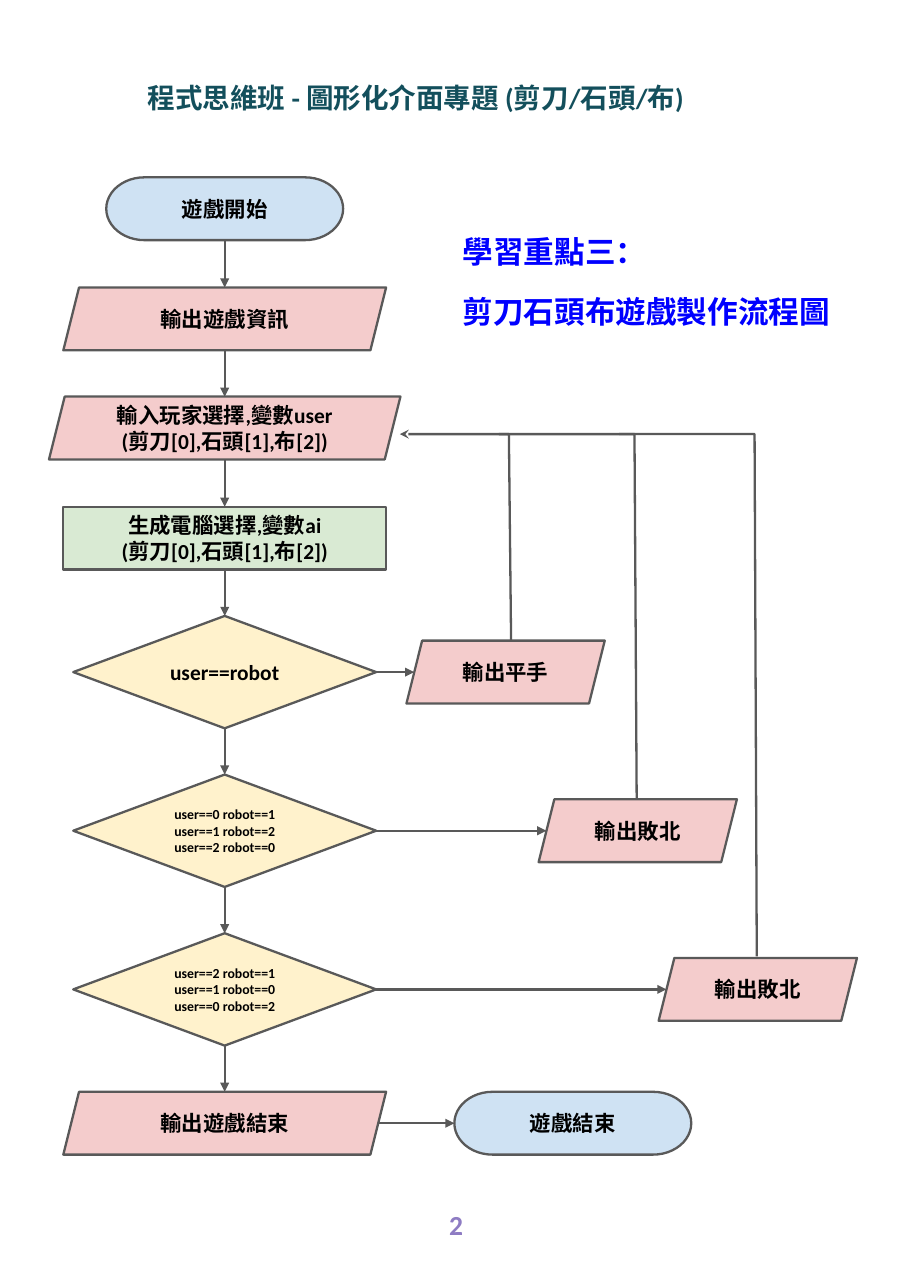
"""Build the flowchart slide for the rock-paper-scissors game."""
from dataclasses import dataclass
from itertools import pairwise

from lxml.etree import SubElement
from pptx import Presentation
from pptx.dml.color import RGBColor
from pptx.enum.shapes import MSO_CONNECTOR as Connector, MSO_SHAPE as Shape
from pptx.enum.text import MSO_ANCHOR as Anchor, MSO_AUTO_SIZE as AutoSize, PP_ALIGN as Align
from pptx.oxml.ns import qn
from pptx.util import Inches, Pt


@dataclass(frozen=True)
class Theme:
    title: str = "134F5C"
    focus: str = "0000FF"
    number: str = "8E7CC3"
    ink: str = "000000"
    line: str = "595959"
    terminal: str = "CFE2F3"
    data: str = "F4CCCC"
    process: str = "D9EAD3"
    decision: str = "FFF2CC"
    font: str = "Calibri"
    output_font: str = "Open Sans"
    title_size: int = 18
    focus_size: int = 20
    step_size: int = 14
    rule_size: int = 9
    line_width: float = 1.5


THEME = Theme()


@dataclass(frozen=True)
class Style:
    kind: Shape
    fill: str
    height: float


@dataclass(frozen=True)
class Step:
    style: Style
    center: float
    top: float
    width: float
    lines: tuple[str, ...]
    size: int = THEME.step_size
    font: str = THEME.font

    @property
    def middle(self) -> float:
        return self.top + self.style.height / 2

    @property
    def bottom(self) -> float:
        return self.top + self.style.height


@dataclass(frozen=True)
class Branch:
    decision: int
    center: float
    text: str
    rise_x: float
    rise_y: float
    return_x: float
    head: str = ""


@dataclass(frozen=True)
class Caption:
    lines: tuple[str, ...]
    size: int
    color: str
    font: str = THEME.font
    align: Align = Align.LEFT
    anchor: Anchor = Anchor.TOP


TERMINAL = Style(Shape.FLOWCHART_TERMINATOR, THEME.terminal, 0.57)
DATA = Style(Shape.PARALLELOGRAM, THEME.data, 0.57)
PROCESS = Style(Shape.RECTANGLE, THEME.process, 0.57)
DECISION = Style(Shape.DIAMOND, THEME.decision, 1.02)

COLUMN = 2.04
RETURN_Y = 3.94
RISE_SLANT = 0.02
PARALLELOGRAM_INSET = 0.07
TOP, LEFT, BOTTOM, RIGHT = range(4)
CHOICES = "(剪刀[0],石頭[1],布[2])"

STEPS = (
    Step(TERMINAL, COLUMN, 1.61, 2.15, ("遊戲開始",)),
    Step(DATA, COLUMN, 2.61, 2.93, ("輸出遊戲資訊",)),
    Step(DATA, COLUMN, 3.6, 3.19, ("輸入玩家選擇,變數user", CHOICES)),
    Step(PROCESS, COLUMN, 4.6, 2.93, ("生成電腦選擇,變數ai", CHOICES)),
    Step(DECISION, COLUMN, 5.59, 2.75, ("user==robot",)),
    Step(DECISION, COLUMN, 7.03, 2.75,
         ("user==0 robot==1", "user==1 robot==2", "user==2 robot==0"), THEME.rule_size),
    Step(DECISION, COLUMN, 8.47, 2.75,
         ("user==2 robot==1", "user==1 robot==0", "user==0 robot==2"), THEME.rule_size),
    Step(DATA, COLUMN, 9.91, 2.93, ("輸出遊戲結束",)),
)
FINISH = Step(TERMINAL, 5.2, 9.91, 2.15, ("遊戲結束",), font=THEME.output_font)
BRANCHES = (
    Branch(4, 4.59, "輸出平手", 4.64, 5.82, 3.63, "stealth"),
    Branch(5, 5.79, "輸出敗北", 5.78, 7.26, 4.53),
    Branch(6, 6.88, "輸出敗北", 6.87, 8.68, 5.62),
)


def write_text(shape, caption: Caption, paragraph_format: dict | None = None) -> None:
    """Fill a shape with formatted paragraphs."""
    frame = shape.text_frame
    frame_format = {"word_wrap": True, "auto_size": AutoSize.NONE,
                    "vertical_anchor": caption.anchor}
    frame_format |= {f"margin_{side}": Inches(0.1) for side in ("left", "top", "right", "bottom")}
    for name, value in frame_format.items():
        setattr(frame, name, value)
    for index, line in enumerate(caption.lines):
        paragraph = frame.add_paragraph() if index else frame.paragraphs[0]
        for name, value in ({"alignment": caption.align} | (paragraph_format or {})).items():
            setattr(paragraph, name, value)
        run = paragraph.add_run()
        run.text = line
        for name, value in {"size": Pt(caption.size), "bold": True, "name": caption.font}.items():
            setattr(run.font, name, value)
        run.font.color.rgb = RGBColor.from_string(caption.color)
        SubElement(run.font._element, qn("a:ea"), typeface=caption.font)


def draw_line_format(shape, head: str = "") -> None:
    """Apply the common outline and an optional arrowhead."""
    shape.line.color.rgb = RGBColor.from_string(THEME.line)
    shape.line.width = Pt(THEME.line_width)
    if head:
        SubElement(shape.line._get_or_add_ln(), qn("a:tailEnd"), type=head)


def draw_step(slide, step: Step):
    """Draw one flowchart step."""
    shape = slide.shapes.add_shape(
        step.style.kind, Inches(step.center - step.width / 2), Inches(step.top),
        Inches(step.width), Inches(step.style.height))
    shape.shadow.inherit = False
    shape.fill.solid()
    shape.fill.fore_color.rgb = RGBColor.from_string(step.style.fill)
    draw_line_format(shape)
    write_text(shape, Caption(step.lines, step.size, THEME.ink, step.font,
                              Align.CENTER, Anchor.MIDDLE))
    return shape


def draw_arrow(slide, start: tuple, end: tuple, source, target, sides: tuple[int, int]) -> None:
    """Draw an arrow and join it to shapes with matching side sites."""
    connector = slide.shapes.add_connector(
        Connector.STRAIGHT, *(Inches(value) for value in (*start, *end)))
    draw_line_format(connector, "triangle")
    SubElement(connector._element.spPr, qn("a:effectLst"))
    joins = zip((connector.begin_connect, connector.end_connect), (source, target), sides)
    for join, shape, side in joins:
        if shape.auto_shape_type != DATA.kind:
            join(shape, side)


def draw_return(slide, branch: Branch) -> None:
    """Draw the path from an output back to the player input."""
    builder = slide.shapes.build_freeform(Inches(branch.rise_x), Inches(branch.rise_y))
    builder.add_line_segments(
        [(Inches(branch.rise_x - RISE_SLANT), Inches(RETURN_Y)),
         (Inches(branch.return_x), Inches(RETURN_Y))], close=False)
    shape = builder.convert_to_shape()
    shape.shadow.inherit = False
    shape.fill.background()
    draw_line_format(shape, branch.head)


def draw_branch(slide, branch: Branch, decision_shape) -> None:
    """Draw the output of a decision with its arrow and return path."""
    decision = STEPS[branch.decision]
    output = Step(DATA, branch.center, decision.middle - DATA.height / 2, 1.8,
                  (branch.text,), font=THEME.output_font)
    output_shape = draw_step(slide, output)
    draw_arrow(slide, (decision.center + decision.width / 2, decision.middle),
               (output.center - output.width / 2 + PARALLELOGRAM_INSET, output.middle),
               decision_shape, output_shape, (RIGHT, LEFT))
    draw_return(slide, branch)


def main() -> None:
    """Create and save the presentation."""
    presentation = Presentation()
    presentation.slide_width, presentation.slide_height = Inches(8.27), Inches(11.69)
    slide = presentation.slides.add_slide(presentation.slide_layouts[5])
    title = slide.shapes.title
    position = {"left": 1.24, "top": 0.59, "width": 6.18, "height": 0.59}
    for name, value in position.items():
        setattr(title, name, Inches(value))
    write_text(title, Caption(("程式思維班 - 圖形化介面專題 (剪刀/石頭/布)",),
                              THEME.title_size, THEME.title, anchor=Anchor.MIDDLE))
    focus = slide.shapes.add_textbox(Inches(4.1), Inches(1.96), Inches(4.17), Inches(1.3))
    write_text(focus, Caption(("學習重點三：", "剪刀石頭布遊戲製作流程圖"),
                              THEME.focus_size, THEME.focus), {"line_spacing": 1.15})
    focus.text_frame.paragraphs[1].space_before = Pt(12)

    shapes = [draw_step(slide, step) for step in STEPS]
    for (step, source), (following, target) in pairwise(zip(STEPS, shapes)):
        draw_arrow(slide, (COLUMN, step.bottom), (COLUMN, following.top),
                   source, target, (BOTTOM, TOP))
    for branch in BRANCHES:
        draw_branch(slide, branch, shapes[branch.decision])
    finish = draw_step(slide, FINISH)
    last = STEPS[-1]
    draw_arrow(slide, (last.center + last.width / 2 - PARALLELOGRAM_INSET, last.middle),
               (FINISH.center - FINISH.width / 2, FINISH.middle),
               shapes[-1], finish, (RIGHT, LEFT))
    number = slide.shapes.add_textbox(Inches(3.89), Inches(10.86), Inches(0.5), Inches(0.9))
    write_text(number, Caption(("2",), THEME.title_size, THEME.number, align=Align.CENTER))
    presentation.save("out.pptx")


if __name__ == "__main__":
    main()
